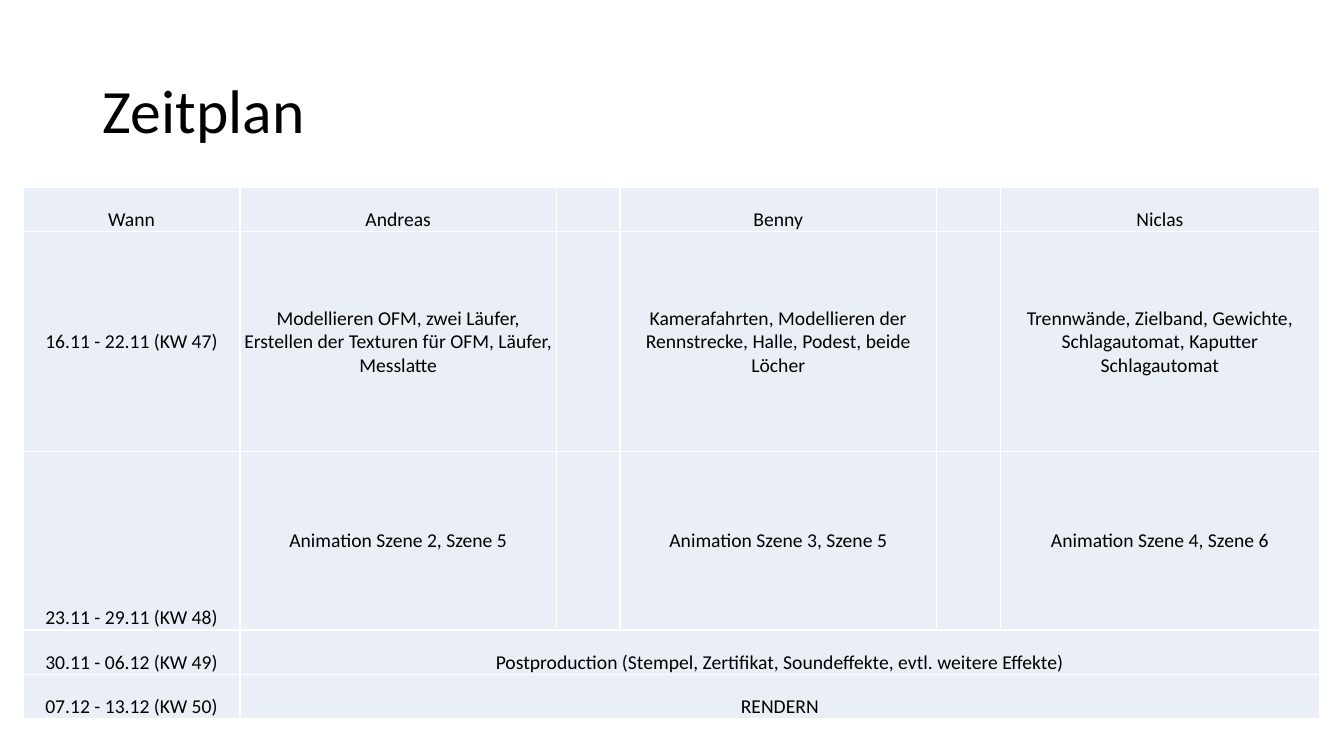
import pptx
import pptx.util
import pptx.dml.color
import pptx.enum.text
import pptx.oxml
import pptx.oxml.ns
from pptx.util import Inches

BLACK = pptx.dml.color.RGBColor(0, 0, 0)
PALE = pptx.dml.color.RGBColor(0xEA, 0xEF, 0xF7)
WHITE = pptx.dml.color.RGBColor(255, 255, 255)
ALIGN = pptx.enum.text.PP_ALIGN
ANCHOR = pptx.enum.text.MSO_ANCHOR


def style(par, size, align):
    par.alignment = align
    for run in par.runs:
        run.font.name = "Calibri"
        run.font.size = pptx.util.Pt(size)
        run.font.color.rgb = BLACK


def border(cell):
    props = cell._tc.get_or_add_tcPr()
    for side in ("lnL", "lnR", "lnT", "lnB"):
        props.append(pptx.oxml.parse_xml(
            f'<a:{side} {pptx.oxml.ns.nsdecls("a")} w="12700"><a:solidFill>'
            f'<a:srgbClr val="{WHITE}"/></a:solidFill></a:{side}>'))


deck = pptx.Presentation()
deck.slide_width = Inches(13.33)
deck.slide_height = Inches(7.5)
slide = deck.slides.add_slide(deck.slide_layouts[5])

title = slide.shapes.title
title.left, title.top = Inches(0.92), Inches(0.4)
title.width, title.height = Inches(11.5), Inches(1.45)
title.text_frame.text = "Zeitplan"
title.text_frame.vertical_anchor = ANCHOR.MIDDLE
title.text_frame.paragraphs[0].line_spacing = 0.9
style(title.text_frame.paragraphs[0], 44, ALIGN.LEFT)

rows = [
    ["Wann", "Andreas", "", "Benny", "", "Niclas"],
    ["16.11 - 22.11 (KW 47)",
     "Modellieren OFM, zwei Läufer, Erstellen der Texturen für OFM, Läufer, Messlatte", "",
     "Kamerafahrten, Modellieren der Rennstrecke, Halle, Podest, beide Löcher", "",
     "Trennwände, Zielband, Gewichte, Schlagautomat, Kaputter Schlagautomat"],
    ["23.11 - 29.11 (KW 48)", "Animation Szene 2, Szene 5", "",
     "Animation Szene 3, Szene 5", "", "Animation Szene 4, Szene 6"],
    ["30.11 - 06.12 (KW 49)",
     "Postproduction (Stempel, Zertifikat, Soundeffekte, evtl. weitere Effekte)"],
    ["07.12 - 13.12 (KW 50)", "RENDERN"],
]
widths = [2.15, 3.14, 0.63, 3.14, 0.63, 3.17]
heights = [0.44, 2.18, 1.77, 0.44, 0.44]

frame = slide.shapes.add_table(len(rows), len(widths), Inches(0.23), Inches(1.86),
                               Inches(12.86), Inches(5.26))
plan = frame.table
plan.first_row = False
plan.horz_banding = False
for col, width in zip(plan.columns, widths):
    col.width = Inches(width)
for row, height in zip(plan.rows, heights):
    row.height = Inches(height)

for r, texts in enumerate(rows):
    if len(texts) == 2:
        plan.cell(r, 1).merge(plan.cell(r, len(widths) - 1))
    for c in range(len(widths)):
        cell = plan.cell(r, c)
        border(cell)
        cell.fill.solid()
        cell.fill.fore_color.rgb = PALE
        cell.margin_left = cell.margin_right = cell.margin_top = Inches(0.01)
        cell.margin_bottom = 0
        middle = r == 1 or (r == 2 and c > 0)
        cell.vertical_anchor = ANCHOR.MIDDLE if middle else ANCHOR.BOTTOM
        if c < len(texts) and texts[c]:
            cell.text_frame.text = texts[c]
            style(cell.text_frame.paragraphs[0], 14, ALIGN.CENTER)

deck.save("out.pptx")
